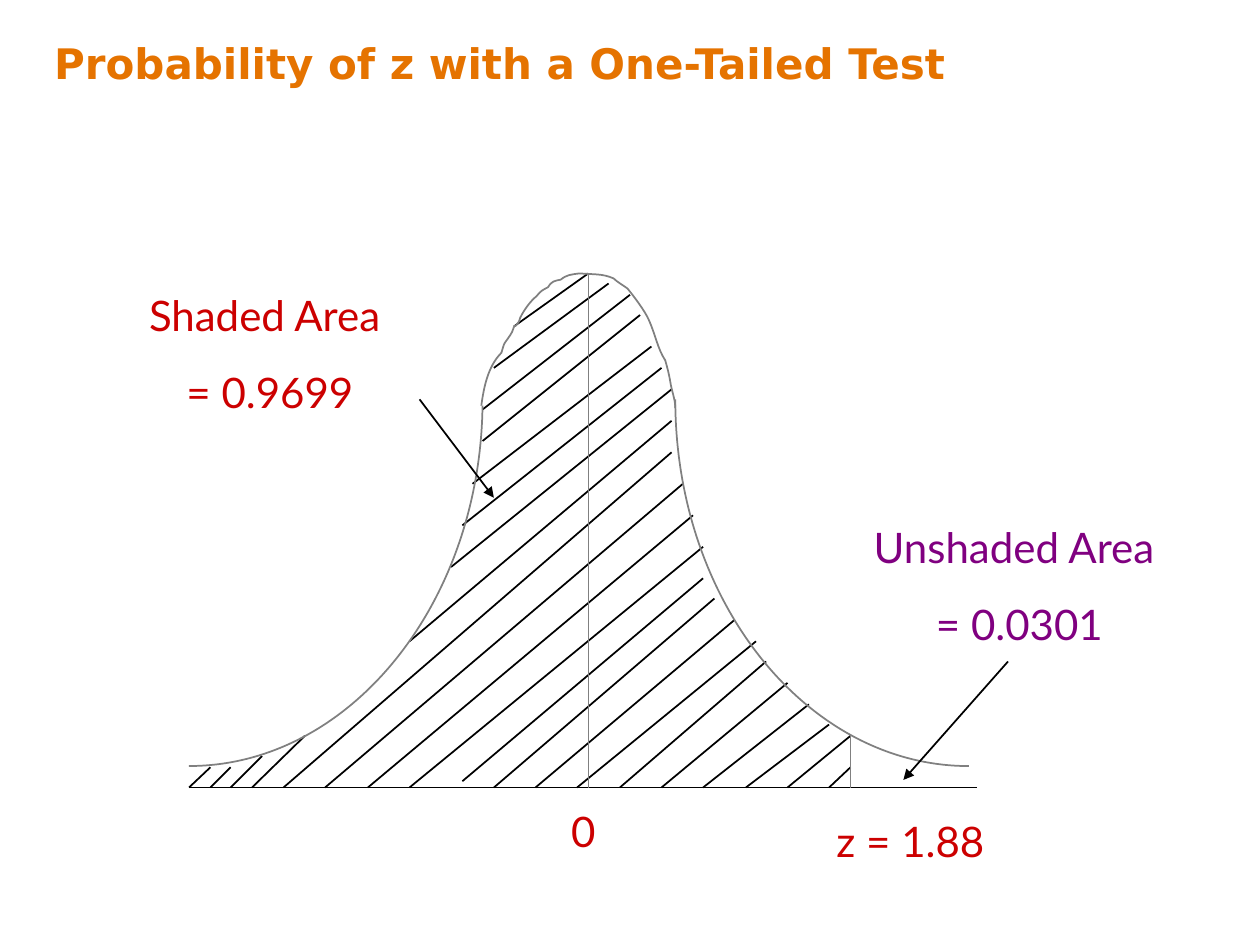
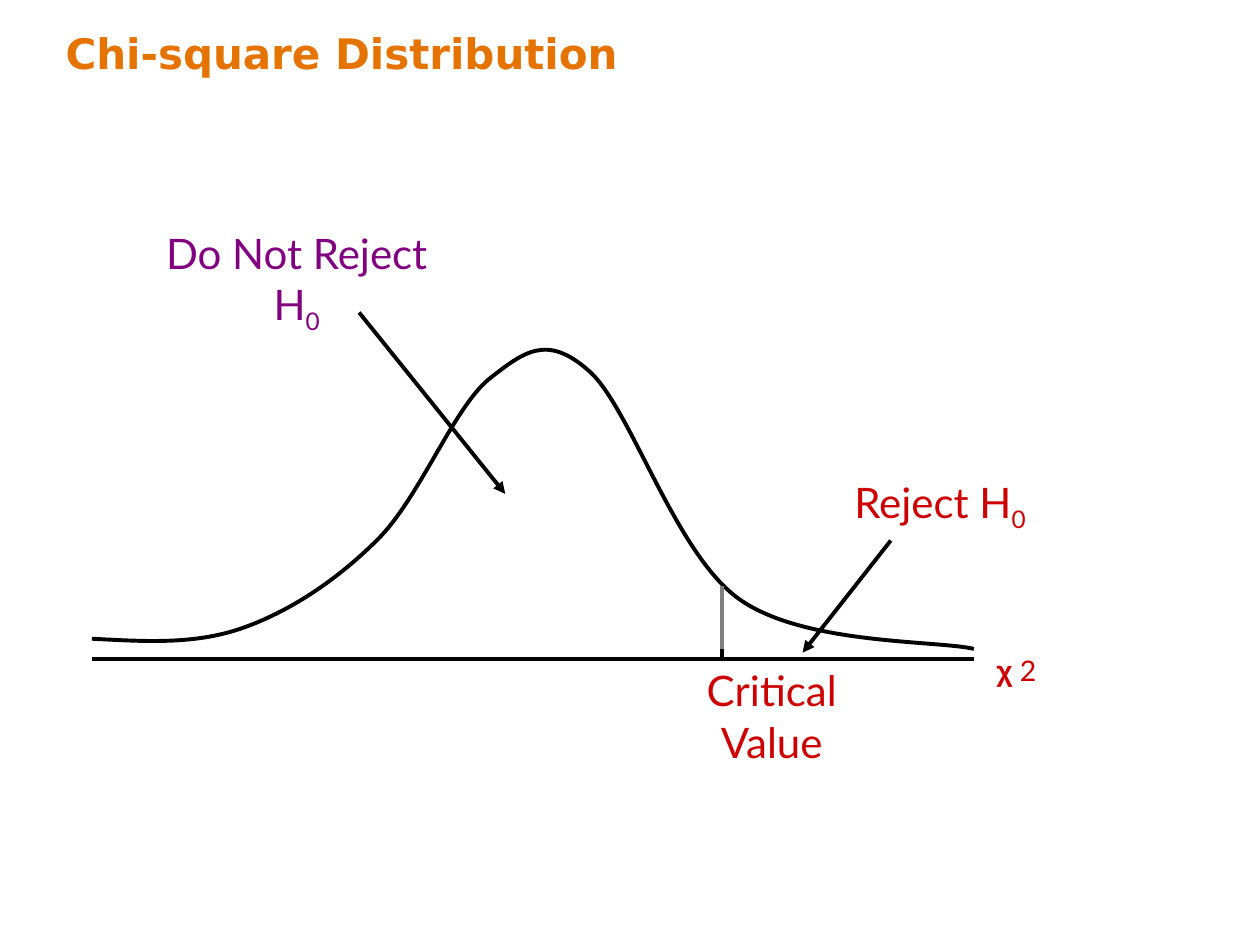
"""Build two slides of sampling distributions: a one-tailed z test and a chi-square curve."""
from lxml.etree import SubElement
from pptx import Presentation
from pptx.dml.color import RGBColor
from pptx.enum.shapes import MSO_CONNECTOR
from pptx.enum.text import MSO_ANCHOR, MSO_AUTO_SIZE, PP_ALIGN
from pptx.oxml.ns import qn
from pptx.util import Inches, Pt

ORANGE = RGBColor(0xE5, 0x73, 0x00)
RED = RGBColor(0xCC, 0x00, 0x00)
PURPLE = RGBColor(0x80, 0x00, 0x80)
BLACK = RGBColor(0, 0, 0)
GRAY = RGBColor(0x80, 0x80, 0x80)


def rule(slide, x1, y1, x2, y2, color=BLACK, width=1, arrow=False):
    """Draw a straight line, with an arrowhead at its end if asked."""
    line = slide.shapes.add_connector(
        MSO_CONNECTOR.STRAIGHT, Inches(x1), Inches(y1), Inches(x2), Inches(y2))
    line.line.color.rgb = color
    line.line.width = Pt(width)
    if arrow:
        SubElement(line.line._get_or_add_ln(), qn("a:tailEnd"), type="triangle")
    SubElement(line._element.spPr, qn("a:effectLst"))


def curve(slide, start, bends, color, width):
    """Trace a chain of cubic bends from the start point."""
    pen = slide.shapes.build_freeform(*map(Inches, start))
    dots = [(Inches(bend[i]), Inches(bend[i + 1])) for bend in bends for i in (0, 2, 4)]
    pen.add_line_segments(dots, close=False)
    shape = pen.convert_to_shape()
    knots = list(shape._element.iter(qn("a:lnTo")))
    trail = knots[0].getparent()
    for i in range(0, len(knots), 3):
        bend = SubElement(trail, qn("a:cubicBezTo"))
        for knot in knots[i:i + 3]:
            bend.append(knot[0])
            trail.remove(knot)
    shape.fill.background()
    shape.line.color.rgb = color
    shape.line.width = Pt(width)
    shape.shadow.inherit = False


deck = Presentation()
deck.slide_width = Inches(10)
deck.slide_height = Inches(7.5)

pages = []
for words, spot in [
    ("Probability of z with a One-Tailed Test", (0.33, 0.25, 9.45, 0.67)),
    ("Chi-square Distribution", (0.42, 0.17, 8.92, 0.62)),
]:
    page = deck.slides.add_slide(deck.slide_layouts[5])
    title = page.shapes.title
    title.left, title.top, title.width, title.height = map(Inches, spot)
    frame = title.text_frame
    frame.text = words
    frame.auto_size = MSO_AUTO_SIZE.NONE
    frame.vertical_anchor = MSO_ANCHOR.TOP
    para = frame.paragraphs[0]
    para.alignment = PP_ALIGN.LEFT
    para.font.name = "DejaVu Sans"
    para.font.size = Pt(24)
    para.font.bold = True
    para.font.color.rgb = ORANGE
    pages.append(page)
bell, chi = pages

labels = [
    (bell, (6.5, 4.09, 3.18, 1.11), PURPLE, [["Unshaded Area "], ["= 0.0301"]], 1),
    (bell, (0.92, 2.25, 2.36, 1.11), RED, [["Shaded Area"], [" = 0.9699"]], 1),
    (bell, (6.17, 6.42, 2.11, 0.5), RED, [["z = 1.88"]], 1),
    (bell, (3.58, 6.34, 2.1, 0.5), RED, [["0"]], 1),
    (chi, (5.9, 3.73, 3.12, 0.55), RED, [["Reject H", "0"]], 1),
    (chi, (1.17, 1.76, 2.37, 0.95), PURPLE, [["Do Not Reject H", "0"]], 1),
    (chi, (4.56, 5.4, 3.13, 0.71), RED, [["Critical"], ["Value"]], 0.5),
]
for page, spot, color, lines, pitch in labels:
    frame = page.shapes.add_textbox(*map(Inches, spot)).text_frame
    frame.word_wrap = True
    for row, parts in enumerate(lines):
        para = frame.add_paragraph() if row else frame.paragraphs[0]
        para.alignment = PP_ALIGN.CENTER
        para.line_spacing = pitch
        if row:
            para.space_before = Pt(15)
        para.font.name = "Lato"
        para.font.size = Pt(24)
        para.font.color.rgb = color
        for part in parts:
            para.add_run().text = part
        for run in para.runs[1:]:
            run._r.get_or_add_rPr().set("baseline", "-25000")

frame = chi.shapes.add_textbox(*map(Inches, (7.81, 5.18, 0.64, 0.47))).text_frame
frame.word_wrap = True
para = frame.paragraphs[0]
para.line_spacing = 0.8
para.font.size = Pt(28)
para.font.color.rgb = RED
for part, face, bold in [("χ", "Arial", True), (" 2", "Lato", False)]:
    run = para.add_run()
    run.text = part
    run.font.name = face
    run.font.bold = bold
    run._r.get_or_add_rPr().set("baseline", "30000")

BASE = 6.25
floor = [
    (1.67, 6.09, 1.5), (1.83, 6.09, 1.67), (2.08, 6, 1.83), (2.42, 5.84, 2),
    (5.33, 3.59, 2.25), (5.42, 3.84, 2.58), (5.5, 4.09, 2.92), (5.58, 4.34, 3.25),
    (5.67, 4.75, 3.92), (5.83, 4.92, 4.25), (6, 5.09, 4.58), (6.08, 5.25, 4.92),
    (6.25, 5.42, 5.25), (6.42, 5.59, 5.58), (6.58, 5.75, 5.92), (6.75, 5.84, 6.25),
    (6.75, 6.09, 6.58),
]
for x, y, foot in floor:
    rule(bell, x, y, foot, BASE)
upper = [
    (4.83, 2.25, 3.92, 2.92), (5, 2.34, 3.83, 3.25), (5.08, 2.5, 3.83, 3.5),
    (5.17, 2.75, 3.75, 3.84), (5.25, 2.92, 3.67, 4.17), (5.33, 3.09, 3.58, 4.5),
    (5.33, 3.34, 3.25, 5.09), (5.58, 4.59, 3.67, 6.2), (4.67, 2.17, 4.08, 2.59),
]
for ends in upper:
    rule(bell, *ends)
rule(bell, 1.5, BASE, 7.75, BASE)

crown = [
    (3.84, 3.08, 3.87, 2.91, 3.98, 2.8), (4.01, 2.7, 3.99, 2.75, 4.05, 2.66),
    (4.06, 2.65, 4.07, 2.62, 4.07, 2.62), (4.1, 2.54, 4.06, 2.64, 4.12, 2.55),
    (4.12, 2.54, 4.12, 2.53, 4.13, 2.52), (4.16, 2.46, 4.21, 2.39, 4.26, 2.35),
    (4.29, 2.31, 4.31, 2.3, 4.35, 2.28), (4.38, 2.23, 4.4, 2.23, 4.45, 2.22),
    (4.5, 2.18, 4.53, 2.18, 4.6, 2.17), (4.71, 2.18, 4.78, 2.17, 4.87, 2.21),
    (4.9, 2.24, 4.94, 2.26, 4.98, 2.29), (5.03, 2.35, 5.12, 2.47, 5.15, 2.54),
    (5.2, 2.65, 5.22, 2.77, 5.28, 2.86), (5.3, 2.93, 5.31, 2.97, 5.32, 3.03),
    (5.33, 3.1, 5.36, 3.17, 5.36, 3.24),
]
curve(bell, (1.5, 6.08), [(2.77, 6.08, 3.81, 4.8, 3.83, 3.22)], GRAY, 1)
curve(bell, (3.82, 3.22), crown, GRAY, 1)
curve(bell, (7.69, 6.08), [(6.41, 6.08, 5.36, 4.78, 5.36, 3.17)], GRAY, 1)
rule(bell, 4.67, 2.17, 4.67, BASE, GRAY)
rule(bell, 6.75, 5.84, 6.75, BASE, GRAY)
rule(bell, 3.33, 3.17, 3.92, 3.95, arrow=True)
rule(bell, 8, 5.25, 7.17, 6.19, arrow=True)

BOLD = 2.25
hump = [
    (1.13, 5.09, 1.53, 5.12, 1.91, 4.99), (2.29, 4.86, 2.67, 4.61, 3, 4.28),
    (3.33, 3.95, 3.6, 3.24, 3.88, 3.01), (4.16, 2.79, 4.34, 2.65, 4.67, 2.94),
    (5, 3.22, 5.35, 4.38, 5.86, 4.75), (6.37, 5.12, 7.42, 5.08, 7.73, 5.15),
]
rule(chi, 0.73, 5.23, 7.73, 5.23, width=BOLD)
curve(chi, (0.73, 5.07), hump, BLACK, BOLD)
rule(chi, 5.73, 5.06, 5.73, 5.23, width=BOLD)
rule(chi, 5.73, 5.15, 5.73, 4.65, GRAY, BOLD)
rule(chi, 7.07, 4.29, 6.37, 5.18, width=BOLD, arrow=True)
rule(chi, 2.85, 2.48, 4.01, 3.92, width=BOLD, arrow=True)

deck.save("out.pptx")
